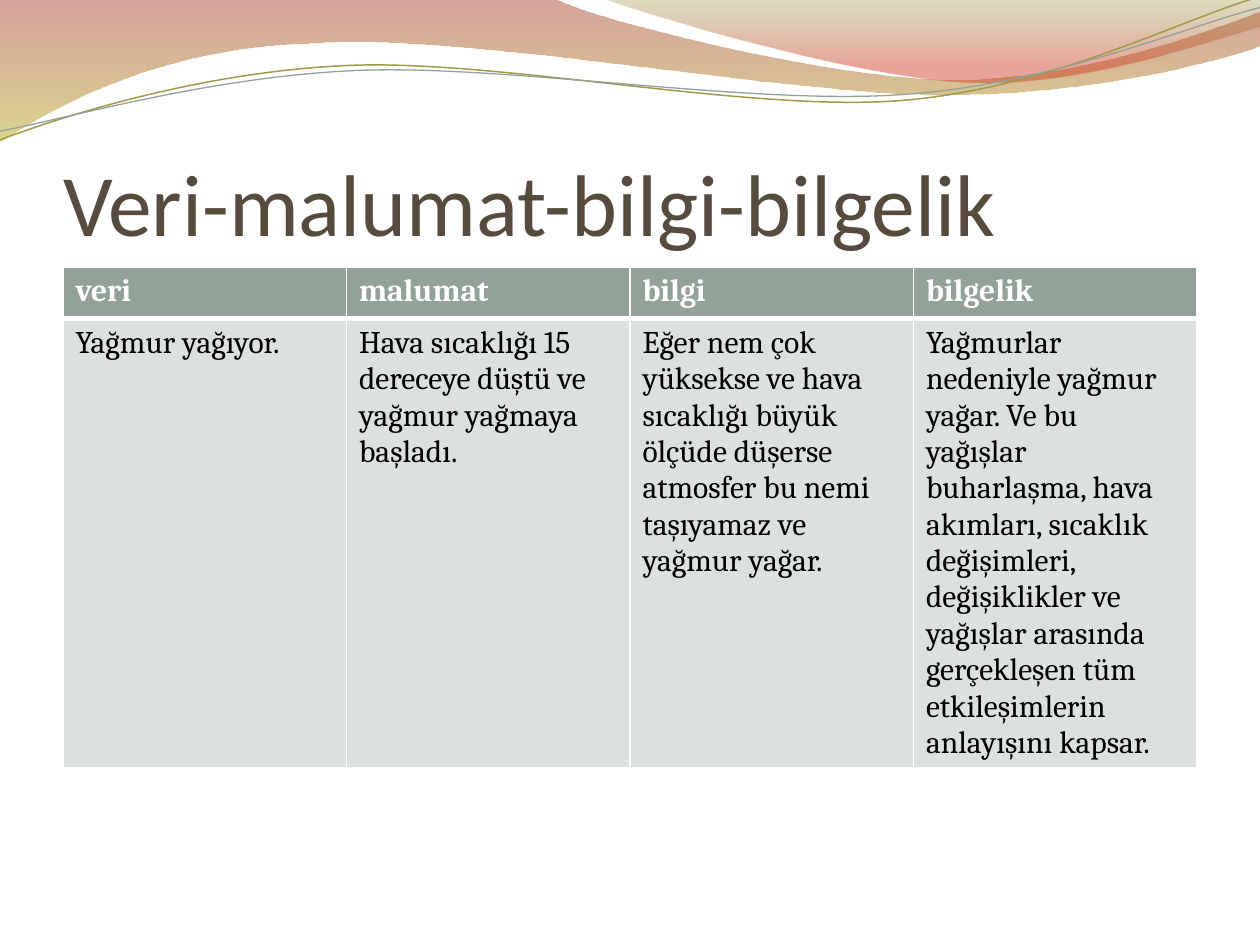
from lxml.etree import SubElement
from pptx import Presentation
from pptx.dml.color import RGBColor
from pptx.enum.lang import MSO_LANGUAGE_ID as LANG
from pptx.enum.text import MSO_ANCHOR, PP_ALIGN
from pptx.oxml import parse_xml
from pptx.oxml.ns import nsdecls, qn
from pptx.util import Inches, Pt

rgb = RGBColor.from_string


def write(tf, text, size, font, color, bold=False):
    """Put one formatted run of text in a text frame."""
    r = tf.paragraphs[0].add_run()
    r.text = text
    r.font.size, r.font.name, r.font.bold = Pt(size), font, bold
    r.font.color.rgb = rgb(color)
    r.font.language_id = LANG.TURKISH


def add_wave(shapes, start, segments, close):
    """Draw an outline from line (x, y) and cubic (six numbers) segments in inches."""
    segments = [[Inches(v) for v in seg] for seg in segments]
    builder = shapes.build_freeform(Inches(start[0]), Inches(start[1]), scale=1)
    builder.add_line_segments([seg[-2:] for seg in segments], close=close)
    sp = builder.convert_to_shape()
    sp.shadow.inherit = False
    for seg, line in zip(segments, list(sp._element.spPr.iter(qn("a:lnTo")))):
        if len(seg) == 6:
            cubic = SubElement(line.getparent(), qn("a:cubicBezTo"))
            for x, y in zip(seg[::2], seg[1::2]):
                SubElement(cubic, qn("a:pt"), x=str(x - sp.left), y=str(y - sp.top))
            line.getparent().replace(line, cubic)
    return sp


prs = Presentation()
prs.slide_width, prs.slide_height = Inches(10), Inches(7.5)
s = prs.slides.add_slide(prs.slide_layouts[5])
shapes = s.shapes
s.background.fill.solid()
s.background.fill.fore_color.rgb = rgb("FFFFFF")

# Gradient bands: start, segments, stops of (position, colour, opacity in percent)
bands = [
    ((0, 0), [(4.4, -0.01), (4.76, 0.17, 6.64, 0.63, 7.58, 0.63),
              (8.53, 0.63, 9.58, 0.26, 10, 0.09), (10.01, 0.36),
              (9.83, 0.44, 8.7, 0.76, 7.46, 0.75), (6.22, 0.75, 3.82, 0.28, 2.57, 0.34),
              (1.29, 0.36, 0.46, 0.83, -0.01, 1.13), (0, 0)],
     [(0, "A43724", 45), (1, "BDB333", 55)]),
    ((4.79, -0.01), [(5.09, 0.11, 6.82, 0.62, 7.69, 0.65),
                     (8.56, 0.69, 9.61, 0.32, 10, 0.21), (10, 0), (4.79, -0.01)],
     [(0, "918A33", 30), (0.8, "D0381E", 45)]),
]
for start, segments, stops in bands:
    sp = add_wave(shapes, start, segments, True)
    sp.line.fill.background()
    sp.fill.gradient()
    sp.fill.gradient_angle = 270
    for stop, (position, color, _) in zip(sp.fill.gradient_stops, stops):
        stop.position, stop.color.rgb = position, rgb(color)
    for clr, (_, _, opacity) in zip(sp._element.spPr.iter(qn("a:srgbClr")), stops):
        SubElement(clr, qn("a:alpha"), val=str(opacity * 1000))

strands = [
    ((0, 1.11), [(0.48, 0.93, 1.58, 0.57, 2.77, 0.52), (3.95, 0.47, 5.93, 0.89, 7.13, 0.8),
                 (8.33, 0.71, 9.38, 0.15, 9.98, -0.02)], "A09A49", 0.85),
    ((0, 1.04), [(0.47, 0.96, 1.64, 0.61, 2.83, 0.56), (4.03, 0.51, 5.97, 0.84, 7.17, 0.75),
                 (8.36, 0.67, 9.41, 0.21, 10, 0.06)], "93A299", 0.75),
]
for start, segments, color, width in strands:
    sp = add_wave(shapes, start, segments, False)
    sp.fill.background()
    sp.line.color.rgb, sp.line.width = rgb(color), Pt(width)

title = shapes.title
title.left, title.top, title.width, title.height = map(Inches, (0.5, 0.77, 9, 1.25))
tf = title.text_frame
tf.margin_left = tf.margin_right = tf.margin_bottom = 0
tf.margin_top = Inches(0.05)
tf.vertical_anchor = MSO_ANCHOR.BOTTOM
write(tf, "Veri-malumat-bilgi-bilgelik", 50, "Calibri", "564B3C")
tf.paragraphs[0].alignment = PP_ALIGN.LEFT
shapes._spTree.append(title._element)

rows = [
    ["veri", "malumat", "bilgi", "bilgelik"],
    ["Yağmur yağıyor.",
     "Hava sıcaklığı 15 dereceye düştü ve yağmur yağmaya başladı.",
     "Eğer nem çok yüksekse ve hava sıcaklığı büyük ölçüde düşerse atmosfer bu nemi "
     "taşıyamaz ve yağmur yağar.",
     "Yağmurlar nedeniyle yağmur yağar. Ve bu yağışlar buharlaşma, hava akımları, "
     "sıcaklık değişimleri, değişiklikler ve yağışlar arasında gerçekleşen tüm "
     "etkileşimlerin anlayışını kapsar."],
]
# Fill, text colour, bold, row height, top and bottom border widths
styles = [("93A299", "FFFFFF", True, 0.41, 1, 3), ("DCE0DE", "000000", False, 3.55, 3, 1)]
table = shapes.add_table(2, 4, Inches(0.5), Inches(2.12), Inches(9), Inches(3.96)).table
for i, (texts, style) in enumerate(zip(rows, styles)):
    fill, color, bold, height, top, bottom = style
    table.rows[i].height = Inches(height)
    for j, text in enumerate(texts):
        cell = table.cell(i, j)
        write(cell.text_frame, text, 18, "Cambria", color, bold)
        tcPr = cell._tc.get_or_add_tcPr()
        for side, width in zip("LRTB", (1, 1, top, bottom)):
            tcPr.append(parse_xml(
                f'<a:ln{side} {nsdecls("a")} w="{Pt(width)}"><a:solidFill>'
                f'<a:srgbClr val="FFFFFF"/></a:solidFill></a:ln{side}>'))
        cell.fill.solid()
        cell.fill.fore_color.rgb = rgb(fill)

prs.save("out.pptx")
